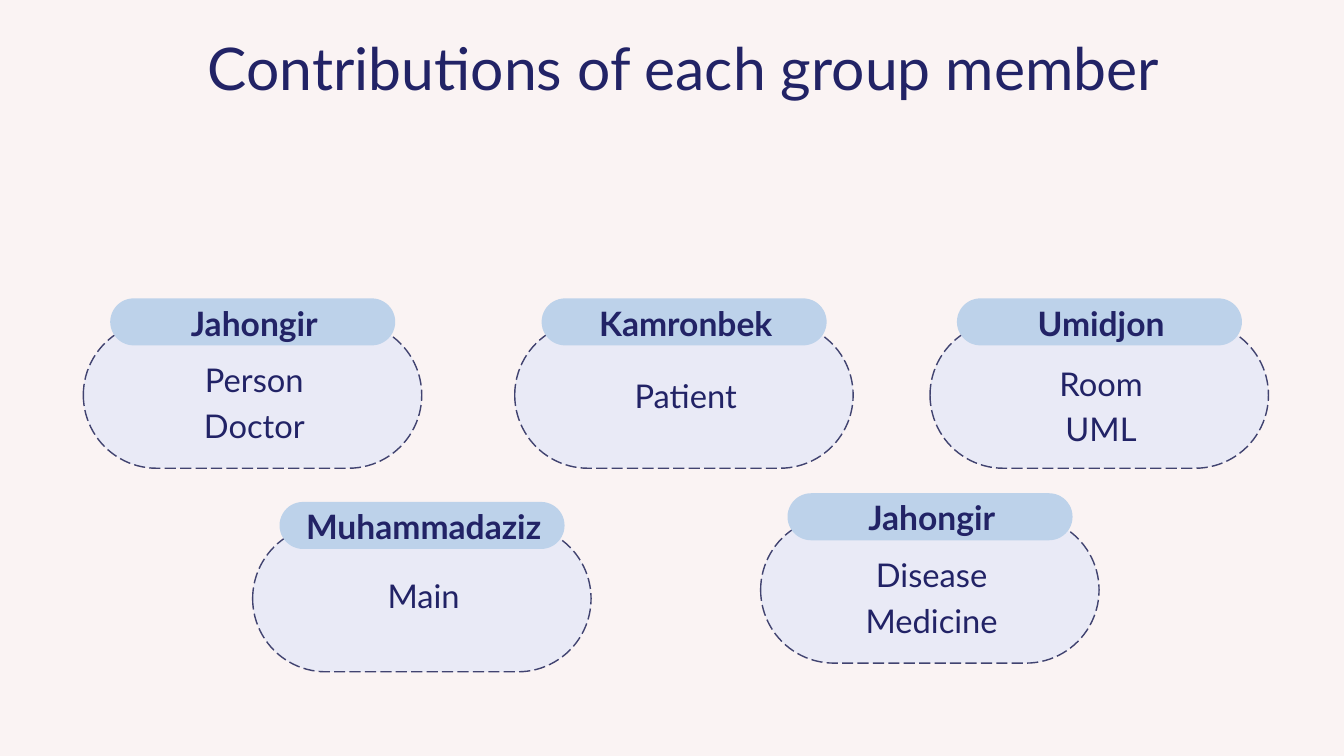
from pptx import Presentation
from pptx.dml.color import RGBColor
from pptx.enum.dml import MSO_LINE
from pptx.enum.shapes import MSO_SHAPE
from pptx.enum.text import MSO_ANCHOR, MSO_AUTO_SIZE, PP_ALIGN
from pptx.util import Pt

INK = {"back": "FAF3F3", "text": "222366", "card": "E9EAF6", "edge": "414370", "pill": "BDD2EA"}
CARDS = [
    (89.3, 344.9, "Jahongir", "Person\nDoctor", 33.8),
    (551.5, 344.9, "Kamronbek", "Patient", 51.1),
    (996.5, 344.9, "Umidjon", "Room\nUML", 37.4),
    (270.7, 563, "Muhammadaziz", "Main", 46.8),
    (815, 553.7, "Jahongir", "Disease\nMedicine", 33.8),
]


class Deck:
    """Holds the style and the current slide, and draws each kind of element."""

    def __init__(self, ink, font):
        self.ink, self.font = ink, font
        self.show = Presentation()
        self.show.slide_width, self.show.slide_height = Pt(1440), Pt(810)
        self.slide = self.show.slides.add_slide(self.show.slide_layouts[5])
        fill = self.slide.background.fill
        fill.solid()
        fill.fore_color.rgb = self.hue("back")

    def hue(self, name):
        return RGBColor.from_string(self.ink[name])

    def style(self, frame, text, size, lead, bold=False):
        frame.text = text
        frame.word_wrap = True
        frame.auto_size = MSO_AUTO_SIZE.NONE
        frame.vertical_anchor = MSO_ANCHOR.TOP
        frame.margin_left = frame.margin_right = 0
        frame.margin_top = frame.margin_bottom = 0
        for para in frame.paragraphs:
            para.alignment = PP_ALIGN.CENTER
            para.line_spacing = Pt(lead)
            para.space_before = Pt(0)
            for run in para.runs:
                font = run.font
                font.name, font.size, font.bold = self.font, Pt(size), bold
                font.color.rgb = self.hue("text")

    def title(self, text, x, y, w, h):
        box = self.slide.shapes.title
        box.left, box.top, box.width, box.height = Pt(x), Pt(y), Pt(w), Pt(h)
        self.style(box.text_frame, text, 63, 88.2)

    def label(self, text, x, y, w, h, size, lead, bold=False):
        box = self.slide.shapes.add_textbox(Pt(x), Pt(y), Pt(w), Pt(h))
        self.style(box.text_frame, text, size, lead, bold)

    def round(self, x, y, w, h, fill, edge=None):
        shape = self.slide.shapes.add_shape(MSO_SHAPE.ROUNDED_RECTANGLE, Pt(x), Pt(y), Pt(w), Pt(h))
        shape.adjustments[0] = 0.5
        shape.shadow.inherit = False
        shape.fill.solid()
        shape.fill.fore_color.rgb = self.hue(fill)
        if edge:
            shape.line.color.rgb = self.hue(edge)
            shape.line.width = Pt(1.5)
            shape.line.dash_style = MSO_LINE.LONG_DASH
        else:
            shape.line.fill.background()

    def card(self, x, y, name, tasks, drop):
        self.round(x, y, 362.6, 156.8, "card", "edge")
        self.round(x + 28.8, y - 25.2, 305.4, 50.4, "pill")
        self.label(name, x + 3.6, y - 28, 359.3, 49, 36, 50.4, True)
        lines = len(tasks.splitlines())
        self.label(tasks, x + 87.8, y + drop, 190.8, 49 * lines, 35, 49)


def main():
    deck = Deck(INK, "Lato")
    deck.title("Contributions of each group member", 80.6, 21.6, 1303.2, 265.7)
    for card in CARDS:
        deck.card(*card)
    deck.show.save("out.pptx")


if __name__ == "__main__":
    main()
